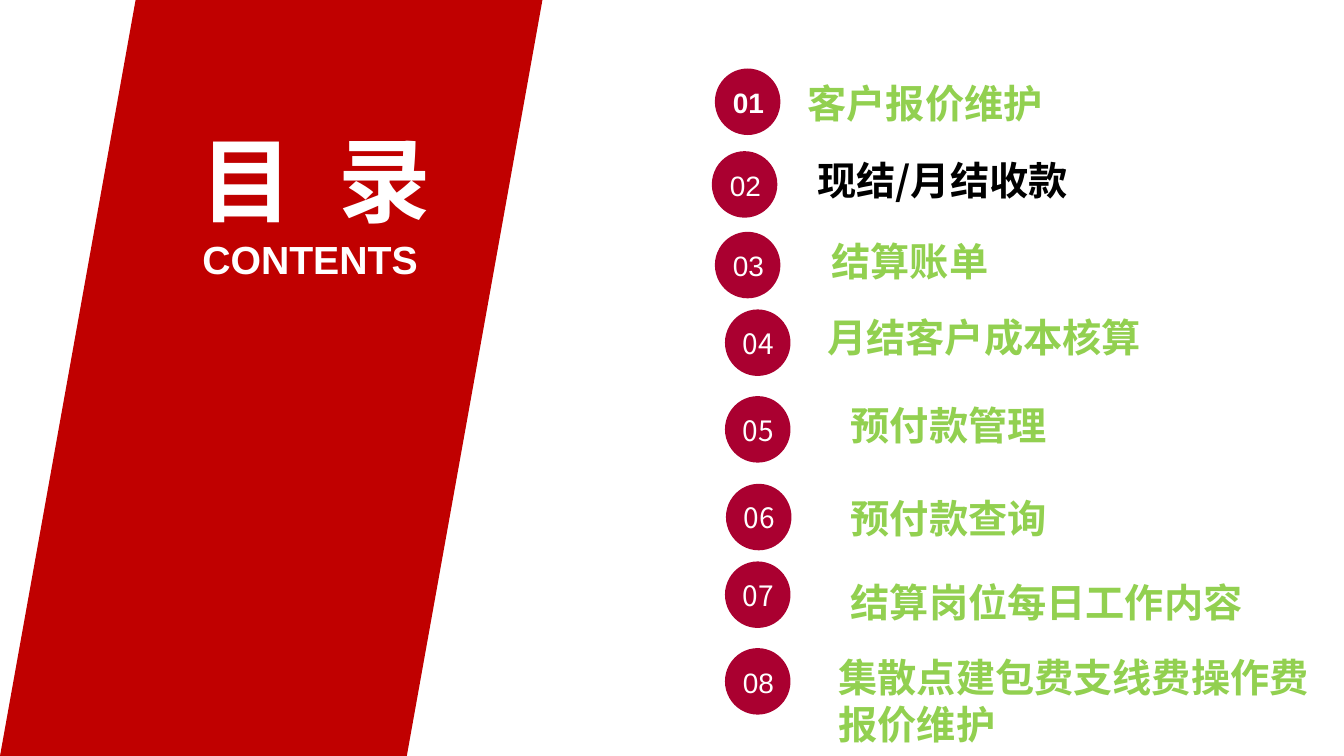
from lxml import etree
from pptx import Presentation
from pptx.dml.color import RGBColor
from pptx.enum.shapes import MSO_SHAPE
from pptx.enum.text import MSO_ANCHOR, MSO_AUTO_SIZE, PP_ALIGN
from pptx.oxml.ns import qn
from pptx.util import Inches, Pt

PARALLELOGRAM = MSO_SHAPE.PARALLELOGRAM
OVAL = MSO_SHAPE.OVAL
LEFT, CENTER = PP_ALIGN.LEFT, PP_ALIGN.CENTER
TOP, MIDDLE = MSO_ANCHOR.TOP, MSO_ANCHOR.MIDDLE
FIT_SHAPE = MSO_AUTO_SIZE.SHAPE_TO_FIT_TEXT

ARIAL = "Arial"
NOTO = "Noto Sans CJK SC"
RED, CRIMSON, GREEN = "C00000", "AA0030", "92D050"
WHITE, BLACK = "FFFFFF", "000000"
BADGE_WIDTH, BADGE_HEIGHT = 0.65, 0.66

ENTRIES = [
    ("客户报价维护", (7.09, 0.68), (8.01, 0.79, 4.27, 0.94),
     dict(inset=False), dict(font=ARIAL, bold=True)),
    ("现结/月结收款", (7.06, 1.5), (8.01, 1.5, 3.07, 0.57),
     dict(color=BLACK), dict(font=ARIAL)),
    ("结算账单", (7.09, 2.3), (8.15, 2.31, 2.93, 0.57), {}, dict(font=ARIAL)),
    ("月结客户成本核算", (7.19, 3.07), (7.84, 3.06, 3.84, 0.57),
     dict(align=CENTER), {}),
    ("预付款管理", (7.19, 3.93), (8.34, 3.93, 2.14, 0.57), dict(wrap=False), {}),
    ("预付款查询", (7.2, 4.8), (8.34, 4.85, 2.14, 0.57), dict(wrap=False), {}),
    ("结算岗位每日工作内容", (7.19, 5.57), (8.34, 5.69, 4.09, 0.57),
     dict(wrap=False), {}),
    ("集散点建包费支线费操作费报价维护", (7.19, 6.43), (8.22, 6.43, 4.86, 1.04),
     {}, dict(font=ARIAL)),
]


def rgb(color):
    return RGBColor.from_string(color)


def add_text(slide, text, box, size=28, font=NOTO, color=WHITE, bold=False,
             align=LEFT, anchor=TOP, inset=True, wrap=True, spacing=0):
    shape = slide.shapes.add_textbox(*map(Inches, box))
    frame = shape.text_frame
    frame.word_wrap = wrap
    frame.auto_size = FIT_SHAPE
    frame.vertical_anchor = anchor
    if not inset:
        frame.margin_left = frame.margin_right = 0
        frame.margin_top = frame.margin_bottom = 0
    paragraph = frame.paragraphs[0]
    paragraph.alignment = align
    run = paragraph.add_run()
    run.text = text
    run.font.size = Pt(size)
    run.font.bold = bold
    run.font.name = font
    run.font.color.rgb = rgb(color)
    properties = run.font._element
    etree.SubElement(properties, qn("a:ea")).set("typeface", NOTO)
    if spacing:
        properties.set("spc", str(spacing * 100))


def add_filled_shape(slide, kind, box, color):
    shape = slide.shapes.add_shape(kind, *map(Inches, box))
    shape.shadow.inherit = False
    shape.fill.solid()
    shape.fill.fore_color.rgb = rgb(color)
    shape.line.fill.background()


def add_title_panel(slide, left, top, width, height):
    add_filled_shape(slide, PARALLELOGRAM, (left, top, width, height), RED)
    add_text(slide, "目 录", (left + 1.8, top + 1.22, 2.66, 1.11), size=66,
             font=ARIAL, bold=True, align=CENTER, anchor=MIDDLE, inset=False,
             spacing=9)
    add_text(slide, "CONTENTS", (left + 1.76, top + 2.33, 2.63, 0.47),
             font=ARIAL, bold=True, align=CENTER, inset=False)


def add_badge(slide, number, left, top, **number_format):
    add_filled_shape(slide, OVAL, (left, top, BADGE_WIDTH, BADGE_HEIGHT), CRIMSON)
    add_text(slide, f"{number:02d}", (left + 0.08, top + 0.12, 0.53, 0.45),
             size=20, **number_format)


def add_contents(slide, entries):
    for number, entry in enumerate(entries, start=1):
        label, badge_corner, label_box, label_format, number_format = entry
        add_badge(slide, number, *badge_corner, **number_format)
        add_text(slide, label, label_box,
                 **{"color": GREEN, "bold": True, **label_format})


def main():
    presentation = Presentation()
    presentation.slide_width = Inches(13.33)
    presentation.slide_height = Inches(7.5)
    slide = presentation.slides.add_slide(presentation.slide_layouts[6])
    add_title_panel(slide, 0, 0, 5.38, 7.5)
    add_contents(slide, ENTRIES)
    presentation.save("out.pptx")


if __name__ == "__main__":
    main()
